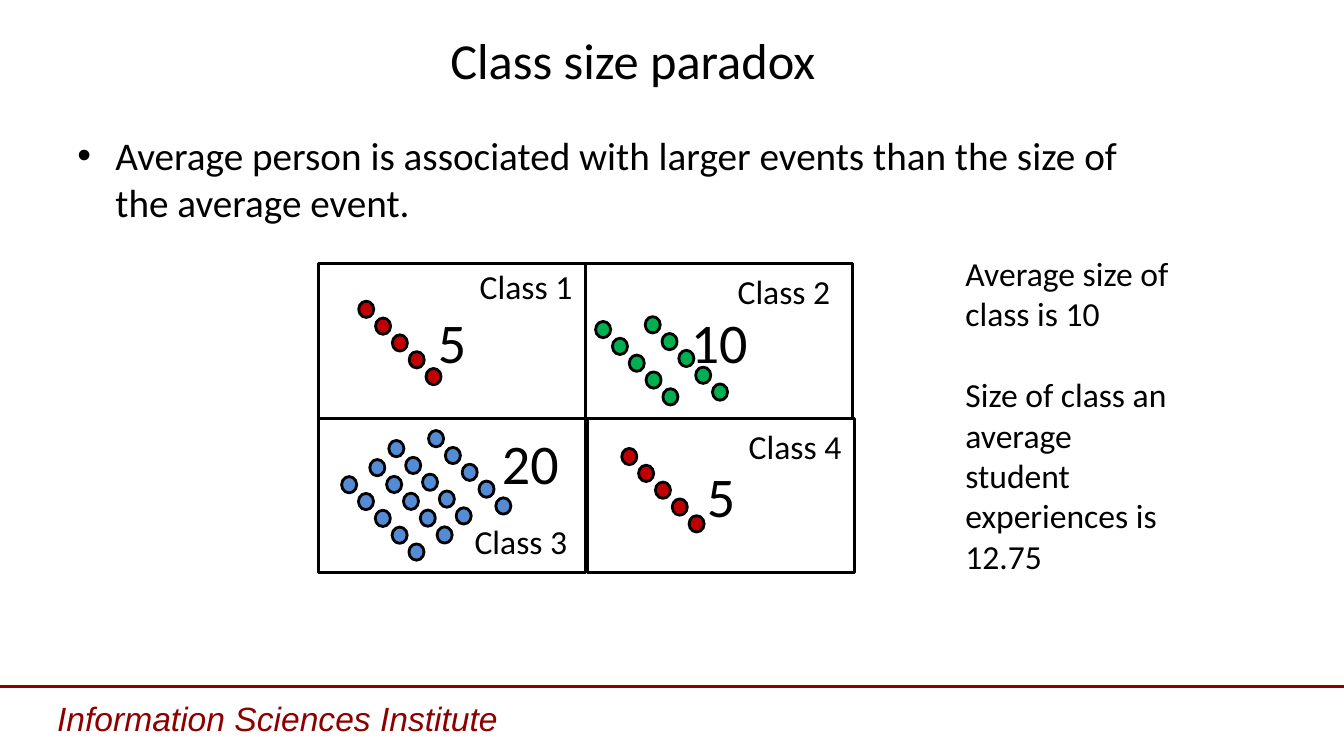
from lxml import etree
from pptx import Presentation
from pptx.dml.color import RGBColor
from pptx.enum.shapes import MSO_CONNECTOR, MSO_SHAPE
from pptx.enum.text import MSO_ANCHOR, MSO_AUTO_SIZE, PP_ALIGN
from pptx.oxml.ns import qn
from pptx.util import Cm, Pt

BLACK, WHITE, MAROON = "000000", "FFFFFF", "8E0000"
RED, GREEN, BLUE = "C00000", "00B050", "538CD5"


def color(hex_value):
    return RGBColor.from_string(hex_value)


def write(shape, lines, size, font="Calibri", text_color=BLACK, align=PP_ALIGN.LEFT):
    """Fill the shape with one paragraph per line and format its runs."""
    frame = shape.text_frame
    frame.word_wrap = True
    frame.auto_size = MSO_AUTO_SIZE.NONE
    frame.text = "\n".join(lines)
    for paragraph in frame.paragraphs:
        paragraph.alignment = align
        for run in paragraph.runs:
            run.font.name = font
            run.font.size = Pt(size)
            run.font.color.rgb = color(text_color)


presentation = Presentation()
presentation.slide_width = Cm(33.87)
presentation.slide_height = Cm(19.05)
slide = presentation.slides.add_slide(presentation.slide_layouts[5])
shapes = slide.shapes

# Footer
rule = shapes.add_connector(MSO_CONNECTOR.STRAIGHT, 0, Cm(17.3), Cm(33.87), Cm(17.3))
rule.line.color.rgb = color(MAROON)
rule.line.width = Pt(2.25)
etree.SubElement(rule._element.spPr, qn("a:effectLst"))
footer = shapes.add_textbox(Cm(1.19), Cm(17.45), Cm(16.69), Cm(1.3))
write(footer, ["Information Sciences Institute"], 24, "Arial", MAROON)
footer.text_frame.paragraphs[0].runs[0].font.italic = True

# Title and statement
title = shapes.title
title.left, title.top, title.width, title.height = Cm(1.7), Cm(0.61), Cm(28.5), Cm(1.78)
title.text_frame.vertical_anchor = MSO_ANCHOR.MIDDLE
write(title, ["Class size paradox"], 36, align=PP_ALIGN.CENTER)

statement = shapes.add_textbox(Cm(1.7), Cm(3.18), Cm(27.81), Cm(2.59))
write(statement, ["Average person is associated with larger events "
                  "than the size of the average event."], 28)
properties = statement.text_frame.paragraphs[0]._p.get_or_add_pPr()
properties.set("marL", str(Cm(0.96)))
properties.set("indent", str(Cm(-0.96)))
etree.SubElement(properties, qn("a:buFont"), typeface="Arial")
etree.SubElement(properties, qn("a:buChar"), char="•")

# Classrooms: left, top, size shown in the middle
ROOM_WIDTH, ROOM_HEIGHT = 6.73, 3.89
for left, top, count in [(8.03, 6.65, "5"), (14.76, 6.65, "10"),
                         (8.03, 10.54, ""), (14.81, 10.54, "5")]:
    room = shapes.add_shape(MSO_SHAPE.RECTANGLE, Cm(left), Cm(top),
                            Cm(ROOM_WIDTH), Cm(ROOM_HEIGHT))
    room.shadow.inherit = False
    room.fill.solid()
    room.fill.fore_color.rgb = color(WHITE)
    room.line.color.rgb = color(BLACK)
    room.line.width = Pt(2)
    room.text_frame.vertical_anchor = MSO_ANCHOR.MIDDLE
    if count:
        write(room, [count], 40, align=PP_ALIGN.CENTER)

# Students: each diagonal row holds five, given by its first dot
ROW_LENGTH, STEP = 5, 0.424
student_rows = [
    (15.01, 8.1, GREEN), (16.26, 7.98, GREEN),
    (9.32, 11.58, BLUE), (9.8, 11.1, BLUE), (10.8, 10.85, BLUE), (8.61, 12.01, BLUE),
    (9.04, 7.59, RED), (15.67, 11.3, RED),
]
for left, top, fill in student_rows:
    for position in range(ROW_LENGTH):
        offset = position * STEP
        student = shapes.add_shape(MSO_SHAPE.OVAL, Cm(left + offset), Cm(top + offset),
                                   Cm(0.38), Cm(0.41))
        student.shadow.inherit = False
        student.fill.solid()
        student.fill.fore_color.rgb = color(fill)
        student.line.color.rgb = color(BLACK)
        student.line.width = Pt(2)

# Labels
for text, left, top, width, height, size in [
    ("20", 12.4, 10.67, 1.96, 1.96, 40),
    ("Class 1", 11.84, 6.58, 2.87, 1.27, 24),
    ("Class 2", 18.34, 6.71, 2.87, 1.27, 24),
    ("Class 4", 18.62, 10.62, 2.87, 1.27, 24),
    ("Class 3", 11.71, 13, 2.87, 1.27, 24),
]:
    label = shapes.add_textbox(Cm(left), Cm(top), Cm(width), Cm(height))
    write(label, [text], size)

averages = shapes.add_textbox(Cm(24.08), Cm(6.25), Cm(5.92), Cm(8.46))
write(averages, ["Average size of class is 10",
                 "Size of class an average student experiences is 12.75"], 24)
averages.text_frame.paragraphs[1].space_before = Pt(29)

presentation.save("out.pptx")
